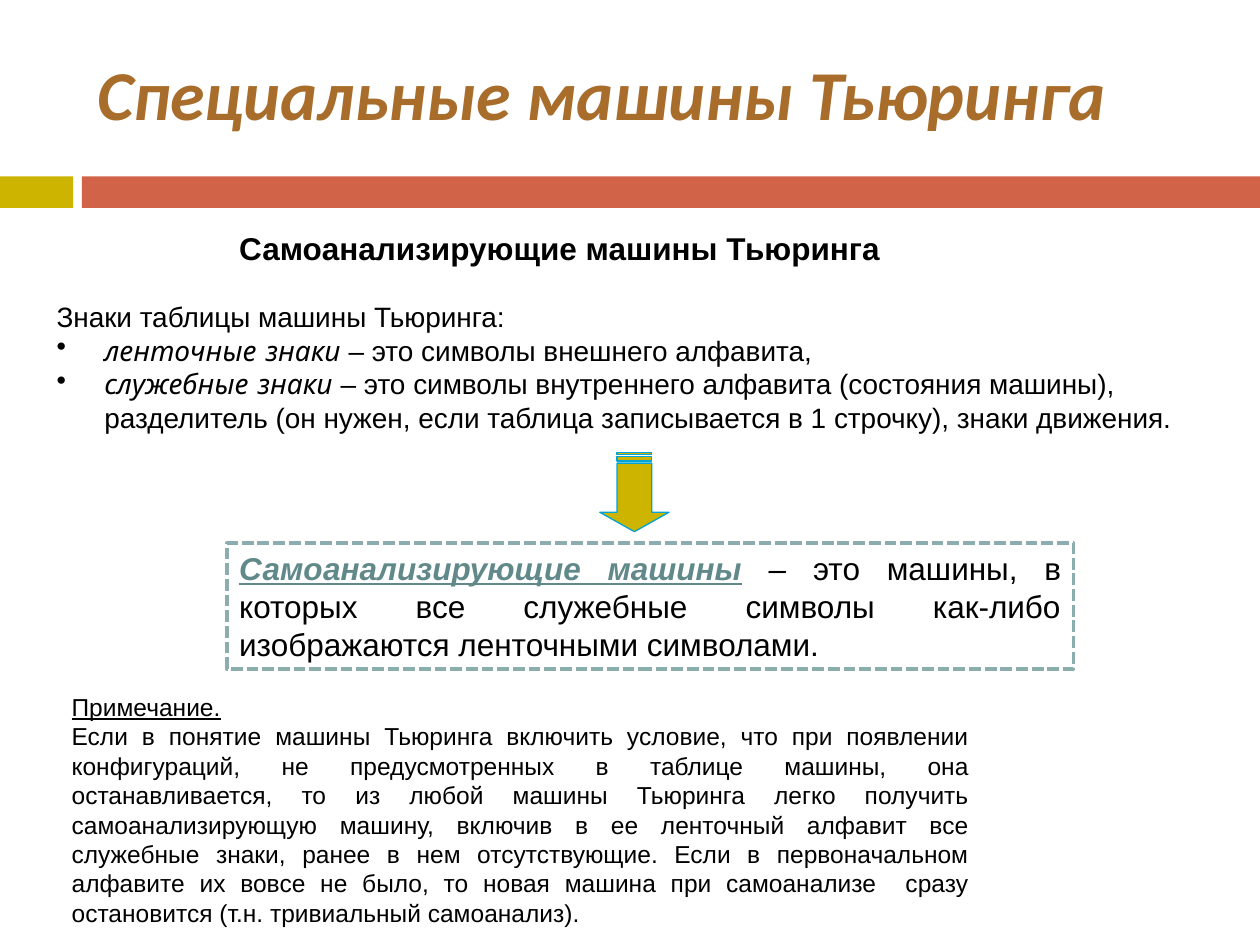
from dataclasses import dataclass

import pptx
import pptx.dml.color
import pptx.enum.dml
import pptx.enum.shapes
import pptx.enum.text
import pptx.util
from lxml import etree

RGB = pptx.dml.color.RGBColor
PP = pptx.enum.text.PP_ALIGN
MID = pptx.enum.text.MSO_ANCHOR.MIDDLE
TOP = pptx.enum.text.MSO_ANCHOR.TOP
KIND = pptx.enum.shapes.MSO_SHAPE

BLACK = RGB(0x00, 0x00, 0x00)
BROWN = RGB(0xA9, 0x6D, 0x2B)
GOLD = RGB(0xCC, 0xB4, 0x00)
CORAL = RGB(0xD1, 0x63, 0x49)
TEAL = RGB(0x61, 0x89, 0x8A)
SAGE = RGB(0x8C, 0xAD, 0xAE)
BLUE = RGB(0x00, 0xA3, 0xD6)

# Grid of square cells over the slide
COLS, ROWS = 100, 75
deck = pptx.Presentation()
deck.slide_width = pptx.util.Inches(10)
deck.slide_height = pptx.util.Inches(7.5)
CELL_W = deck.slide_width / COLS
CELL_H = deck.slide_height / ROWS


@dataclass
class Area:
    col: float
    row: float
    wide: float
    high: float

    def box(self) -> tuple[int, int, int, int]:
        return (round(self.col * CELL_W), round(self.row * CELL_H),
                round(self.wide * CELL_W), round(self.high * CELL_H))


@dataclass
class Run:
    text: str
    face: str = "Arial"
    color: RGB = BLACK
    bold: bool = False
    slant: bool = False
    under: bool = False


@dataclass
class Para:
    runs: list[Run]
    bullet: bool = False


def write(shape, paras: list[Para], *, size: float, align=PP.LEFT,
          anchor=TOP, hang: float = 0, space=1.0) -> None:
    """Fill a shape with formatted paragraphs; hang is in columns."""
    frame = shape.text_frame
    frame.word_wrap = True
    frame.auto_size = pptx.enum.text.MSO_AUTO_SIZE.NONE
    frame.vertical_anchor = anchor
    for i, para in enumerate(paras):
        line = frame.add_paragraph() if i else frame.paragraphs[0]
        line.alignment = align
        line.line_spacing = space
        props = line._p.get_or_add_pPr()
        if hang:
            props.set("marL", str(round(hang * CELL_W)))
            props.set("indent", str(-round(hang * CELL_W)))
        if para.bullet:
            mark = etree.SubElement(props, pptx.oxml.ns.qn("a:buChar"))
            mark.set("char", "•")
        for part in para.runs:
            run = line.add_run()
            run.text = part.text
            font = run.font
            font.name, font.size = part.face, pptx.util.Pt(size)
            font.bold, font.italic = part.bold, part.slant
            font.underline = part.under
            font.color.rgb = part.color


def draw(slide, kind, area: Area, fill: RGB | None = None,
         line: RGB | None = None, width: float = 0.75):
    shape = slide.shapes.add_shape(kind, *area.box())
    shape.shadow.inherit = False
    if fill is None:
        shape.fill.background()
    else:
        shape.fill.solid()
        shape.fill.fore_color.rgb = fill
    if line is None:
        shape.line.fill.background()
    else:
        shape.line.color.rgb = line
        shape.line.width = pptx.util.Pt(width)
    return shape


def label(slide, area: Area, paras: list[Para], **style) -> None:
    write(slide.shapes.add_textbox(*area.box()), paras, **style)


slide = deck.slides.add_slide(deck.slide_layouts[5])

# Title
title = slide.shapes.title
title.left, title.top, title.width, title.height = Area(6.7, 2.5, 89.2, 10.8).box()
write(title, [Para([Run("Специальные машины Тьюринга", "Calibri", BROWN, True, True)])],
      size=40, anchor=MID, space=pptx.util.Pt(40))

# Band under the title
draw(slide, KIND.RECTANGLE, Area(0, 14, 5.8, 2.5), GOLD)
draw(slide, KIND.RECTANGLE, Area(6.5, 14, COLS - 6.5, 2.5), CORAL)

# Heading
label(slide, Area(18, 18, 68.8, 3.7),
      [Para([Run("Самоанализирующие машины Тьюринга", bold=True)])],
      size=18, space=0.9)

# Kinds of signs
SIGNS = [
    ("ленточные знаки", " – это символы внешнего алфавита,"),
    ("служебные знаки", " – это символы внутреннего алфавита (состояния машины), "
     "разделитель (он нужен, если таблица записывается в 1 строчку), знаки движения."),
]
label(slide, Area(3.5, 23.3, 92.1, 11.7),
      [Para([Run("Знаки таблицы машины Тьюринга:")])]
      + [Para([Run(term, "Comic Neue", slant=True), Run(rest)], True)
         for term, rest in SIGNS],
      size=16, hang=3.8)

# Definition in a dashed frame
frame = draw(slide, KIND.RECTANGLE, Area(18, 43.1, 67.2, 10), line=SAGE, width=2.25)
frame.line.dash_style = pptx.enum.dml.MSO_LINE.SQUARE_DOT
write(frame, [Para([
    Run("Самоанализирующие машины", color=TEAL, bold=True, slant=True, under=True),
    Run(" – ", slant=True),
    Run("это машины, в которых все служебные символы как-либо "
        "изображаются ленточными символами."),
])], size=18, align=PP.JUSTIFY, anchor=MID)

# Arrow down to the definition
arrow = draw(slide, KIND.STRIPED_RIGHT_ARROW, Area(47.2, 36.3, 6.3, 5.5), GOLD, BLUE)
arrow.rotation = 90
arrow.adjustments[0] = 0.5
arrow.adjustments[1] = 0.28

# Remark
label(slide, Area(4.7, 54.4, 73.2, 19.7), [
    Para([Run("Примечание.", under=True)]),
    Para([Run(
        "Если в понятие машины Тьюринга включить условие, что при появлении "
        "конфигураций, не предусмотренных в таблице машины, она останавливается, "
        "то из любой машины Тьюринга легко получить самоанализирующую машину, "
        "включив в ее ленточный алфавит все служебные знаки, ранее в нем "
        "отсутствующие. Если в первоначальном алфавите их вовсе не было, то новая "
        "машина при самоанализе  сразу остановится (т.н. тривиальный самоанализ). ")]),
], size=14, align=PP.JUSTIFY, anchor=MID)

deck.save("out.pptx")
